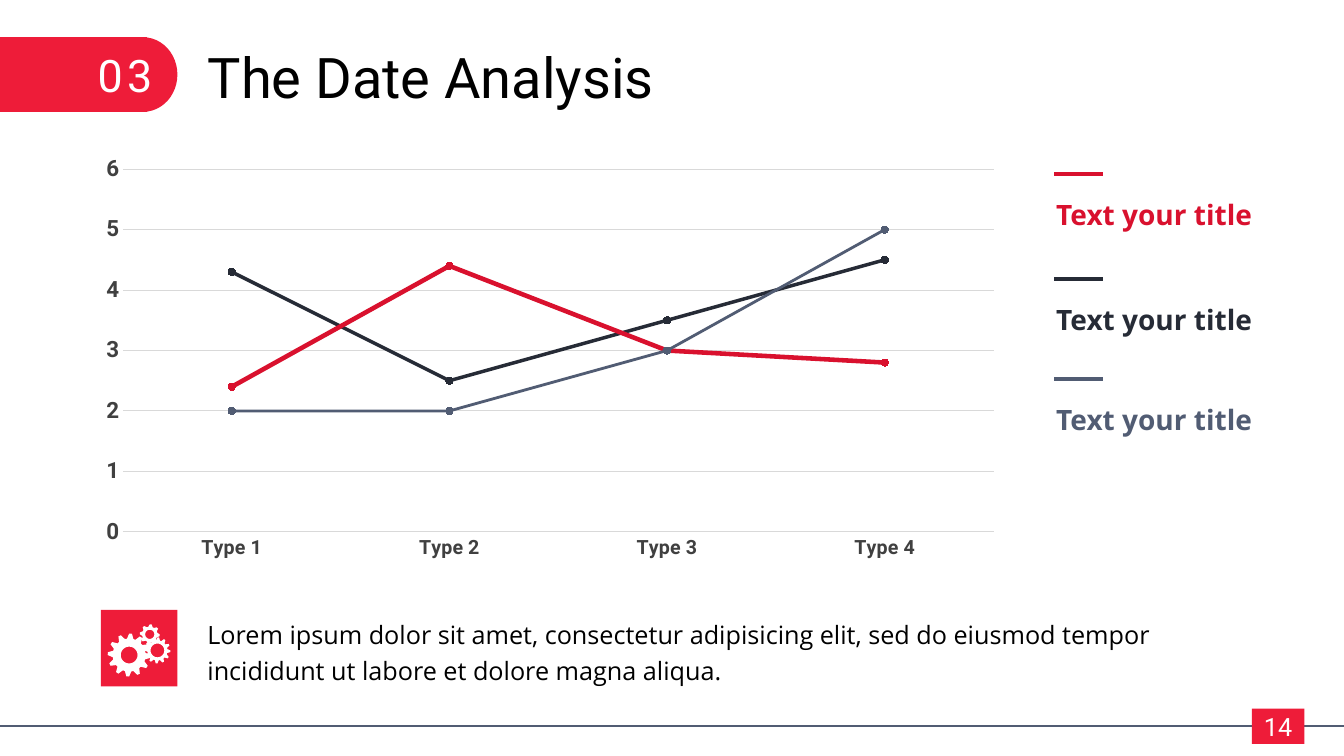
"""Builds a line chart slide with a section number, key, icon and caption."""
import math

from lxml import etree
from pptx import Presentation
from pptx import util as u
from pptx.chart.data import CategoryChartData
from pptx.dml.color import RGBColor
from pptx.enum import chart as charts, shapes, text
from pptx.oxml import ns

COLOURS = {"accent": "EE1C39", "red": "D9112E", "dark": "262B36", "slate": "515C73",
           "white": "FFFFFF", "black": "000000", "label": "404040", "grid": "D9D9D9"}
WIDTH, HEIGHT = u.Inches(13.333), u.Inches(7.5)

SECTION = "03"
TITLE = "The Date Analysis"
PAGE_NUMBER = "14"
CAPTION = ("Lorem ipsum dolor sit amet, consectetur adipisicing elit, sed do eiusmod "
           "tempor incididunt ut labore et dolore magna aliqua.")
CATEGORIES = ["Type 1", "Type 2", "Type 3", "Type 4"]
SERIES = [("Series 1", (4.3, 2.5, 3.5, 4.5), "dark", 2.5),
          ("Series 2", (2.4, 4.4, 3, 2.8), "red", 3.25),
          ("Series 3", (2, 2, 3, 5), "slate", 2)]
KEY = [("Text your title", "red", 23.07),
       ("Text your title", "dark", 36.93),
       ("Text your title", "slate", 50.13)]

# Areas are left, top, width, height in percent of the slide.
AREAS = {"tab": (0, 4.93, 10.95, 9.87), "tab end": (8.1, 4.93, 5.1, 9.87),
         "section": (6.53, 5.6, 9.38, 8.53), "title": (14.7, 4.93, 68.1, 10.27),
         "page number": (93.15, 93.73, 3.9, 4.67), "chart": (6.53, 19.6, 68.85, 55.6),
         "icon": (7.5, 80.67, 5.7, 10.13), "caption": (14.7, 80.4, 78.45, 11.07)}
PLOT = {"x": 0.038, "y": 0.05, "w": 0.941, "h": 0.863}
GEARS = [(0.37, 0.59, 0.28, 0.11, 12),
         (0.64, 0.32, 0.13, 0.06, 8),
         (0.74, 0.53, 0.17, 0.09, 12)]


def colour(name):
    return RGBColor.from_string(COLOURS[name])


def across(share):
    return round(WIDTH * share / 100)


def down(share):
    return round(HEIGHT * share / 100)


def place(area):
    left, top, width, height = area
    return across(left), down(top), across(width), down(height)


def style_font(font, size, name, tint, bold=False):
    font.size, font.name, font.bold = u.Pt(size), name, bold
    font.color.rgb = colour(tint)


def paint(shape, tint):
    shape.shadow.inherit = False
    shape.fill.solid()
    shape.fill.fore_color.rgb = colour(tint)
    shape.line.fill.background()


def add_block(page, kind, area, tint="accent"):
    block = page.shapes.add_shape(kind, *place(area))
    paint(block, tint)
    return block


def write(shape, words, size, name, tint, bold=False, align=text.PP_ALIGN.LEFT):
    frame = shape.text_frame
    frame.text = words
    frame.word_wrap = True
    frame.auto_size = text.MSO_AUTO_SIZE.NONE
    para = frame.paragraphs[0]
    para.alignment = align
    style_font(para.runs[0].font, size, name, tint, bold)
    return para


def add_words(page, area, *style):
    return write(page.shapes.add_textbox(*place(area)), *style)


def add_rule(page, start, end, top, tint, weight):
    rule = page.shapes.add_connector(shapes.MSO_CONNECTOR.STRAIGHT, across(start), down(top),
                                     across(end), down(top))
    rule.line.color.rgb = colour(tint)
    rule.line.width = u.Pt(weight)
    etree.SubElement(rule._element.spPr, ns.qn("a:effectLst"))


def ring(x, y, radii):
    step = 2 * math.pi / len(radii)
    return [(x + radius * math.cos(step * i), y + radius * math.sin(step * i))
            for i, radius in enumerate(radii)]


def add_gear(page, x, y, radius, hole, teeth):
    left, top, size, _ = place(AREAS["icon"])
    x, y, radius, hole = left + x * size, top + y * size, radius * size, hole * size
    root = radius * 0.77
    rim = ring(x, y, [radius, radius, root, root] * teeth)
    bore = ring(x, y, [hole] * 24)
    builder = page.shapes.build_freeform(*rim[0])
    builder.add_line_segments(rim[1:])
    builder.move_to(*bore[0])
    builder.add_line_segments(bore[1:])
    paint(builder.convert_to_shape(), "white")


def style_axis(axis, size):
    axis.major_tick_mark = axis.minor_tick_mark = charts.XL_TICK_MARK.NONE
    style_font(axis.tick_labels.font, size, "Roboto", "label", True)


def add_line_chart(page):
    data = CategoryChartData()
    data.categories = CATEGORIES
    for name, values, _, _ in SERIES:
        data.add_series(name, values)
    chart = page.shapes.add_chart(charts.XL_CHART_TYPE.LINE_MARKERS, *place(AREAS["chart"]),
                                  data).chart
    chart.has_legend = chart.has_title = False
    style_font(chart.font, 10, "Open Sans", "black")
    style_axis(chart.category_axis, 14)
    chart.category_axis.format.line.color.rgb = colour("grid")
    chart.category_axis.format.line.width = u.Pt(0.75)

    values = chart.value_axis
    style_axis(values, 16)
    values.minimum_scale, values.maximum_scale, values.major_unit = 0, 6, 1
    values.format.line.fill.background()
    values.major_gridlines.format.line.color.rgb = colour("grid")
    values.major_gridlines.format.line.width = u.Pt(0.75)

    chart.plots[0].vary_by_categories = False
    for series, (_, _, tint, weight) in zip(chart.plots[0].series, SERIES):
        series.smooth = False
        series.format.line.color.rgb = colour(tint)
        series.format.line.width = u.Pt(weight)
        marker = series.marker
        marker.style, marker.size = charts.XL_MARKER_STYLE.CIRCLE, 5
        marker.format.fill.solid()
        marker.format.fill.fore_color.rgb = colour(tint)
        marker.format.line.color.rgb = colour(tint)

    plot_area = chart._chartSpace.chart.plotArea
    for old in plot_area.findall(ns.qn("c:layout")):
        plot_area.remove(old)
    layout = etree.Element(ns.qn("c:layout"))
    manual = etree.SubElement(layout, ns.qn("c:manualLayout"))
    settings = {"layoutTarget": "inner", "xMode": "edge", "yMode": "edge", **PLOT}
    for tag, value in settings.items():
        etree.SubElement(manual, ns.qn("c:" + tag)).set("val", str(value))
    plot_area.insert(0, layout)


def main():
    deck = Presentation()
    deck.slide_width, deck.slide_height = WIDTH, HEIGHT
    page = deck.slides.add_slide(deck.slide_layouts[5])

    add_rule(page, 0, 100, 96, "slate", 1.5)
    add_block(page, shapes.MSO_SHAPE.RECTANGLE, AREAS["tab"])
    add_block(page, shapes.MSO_SHAPE.OVAL, AREAS["tab end"])
    section = add_words(page, AREAS["section"], SECTION, 32, "Roboto", "white")
    section.runs[0].font._element.set("spc", "300")

    number = add_block(page, shapes.MSO_SHAPE.RECTANGLE, AREAS["page number"])
    write(number, PAGE_NUMBER, 18, "Roboto", "white", align=text.PP_ALIGN.CENTER)
    number.text_frame.vertical_anchor = text.MSO_ANCHOR.MIDDLE

    title = page.shapes.title
    title.left, title.top, title.width, title.height = place(AREAS["title"])
    write(title, TITLE, 40, "Roboto", "black")
    title.text_frame.vertical_anchor = text.MSO_ANCHOR.TOP

    add_line_chart(page)
    for words, tint, top in KEY:
        add_rule(page, 78.45, 82.1, top, tint, 3)
        add_words(page, (77.85, top + 2.4, 19.3, 5.87), words, 20, "Open Sans", tint, True)

    add_block(page, shapes.MSO_SHAPE.RECTANGLE, AREAS["icon"])
    for gear in GEARS:
        add_gear(page, *gear)
    caption = add_words(page, AREAS["caption"], CAPTION, 18, "Open Sans", "black")
    caption.line_spacing = 1.2
    deck.save("out.pptx")


if __name__ == "__main__":
    main()
